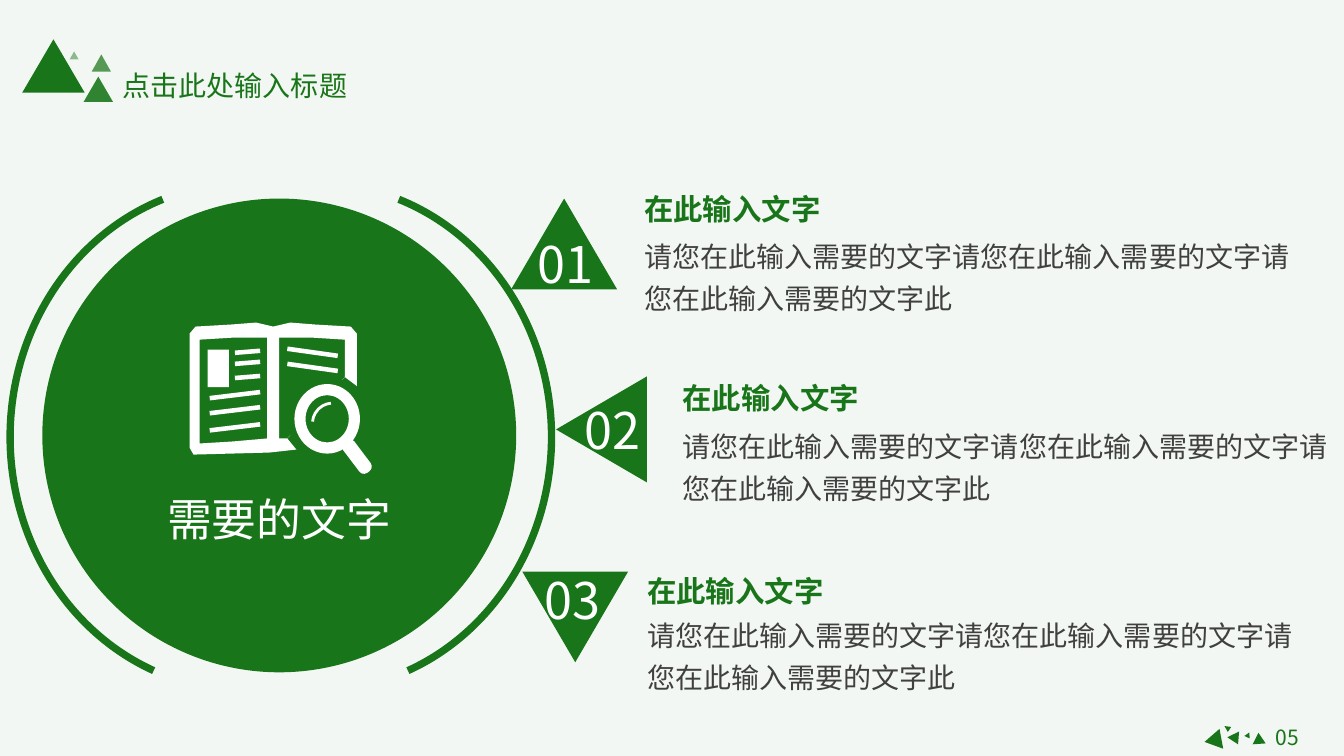
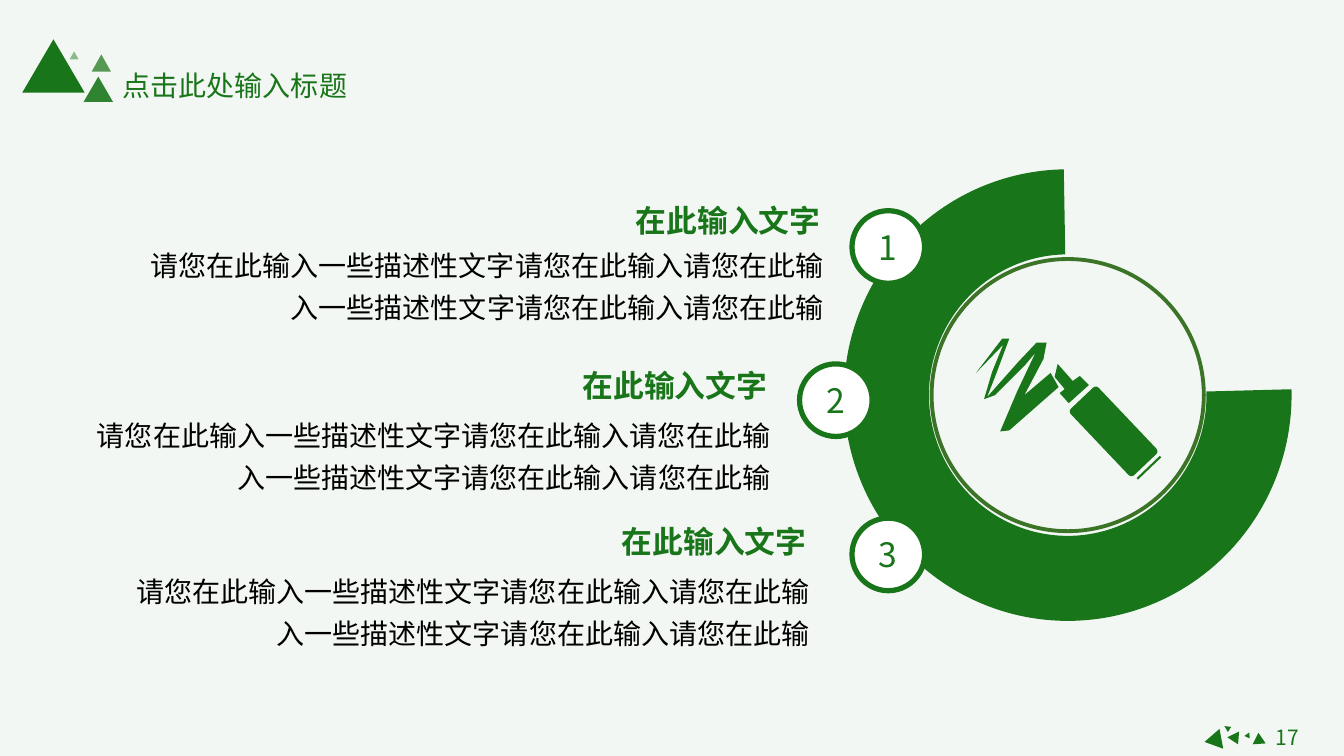
from dataclasses import dataclass

from lxml import etree
from pptx import Presentation
from pptx.dml.color import RGBColor
from pptx.enum.shapes import MSO_CONNECTOR, MSO_SHAPE
from pptx.enum.text import MSO_ANCHOR, MSO_AUTO_SIZE, PP_ALIGN
from pptx.oxml.ns import qn
from pptx.util import Inches, Pt

TRIANGLE = MSO_SHAPE.ISOSCELES_TRIANGLE
OVAL, ARC, BLOCK_ARC, DONUT = MSO_SHAPE.OVAL, MSO_SHAPE.ARC, MSO_SHAPE.BLOCK_ARC, MSO_SHAPE.DONUT
RECT, ROUNDED = MSO_SHAPE.RECTANGLE, MSO_SHAPE.ROUNDED_RECTANGLE
STRAIGHT = MSO_CONNECTOR.STRAIGHT
LEFT, CENTER, RIGHT = PP_ALIGN.LEFT, PP_ALIGN.CENTER, PP_ALIGN.RIGHT
TOP, MIDDLE = MSO_ANCHOR.TOP, MSO_ANCHOR.MIDDLE
NO_FIT, GROW = MSO_AUTO_SIZE.NONE, MSO_AUTO_SIZE.SHAPE_TO_FIT_TEXT


@dataclass(frozen=True)
class Theme:
    font: str = "Noto Sans CJK SC"
    green: str = "197519"
    olive: str = "3B7327"
    paper: str = "F3F7F3"
    white: str = "FFFFFF"
    gray: str = "404040"
    black: str = "000000"
    title: int = 20
    body: int = 20
    heading: int = 21
    heading_large: int = 22
    caption: int = 32
    number: int = 36
    badge: int = 24
    page: int = 15


THEME = Theme()
TITLE = "点击此处输入标题"
HEADING = "在此输入文字"
CAPTION = "需要的文字"
BOOK_BODY = "请您在此输入需要的文字" * 3 + "此"
PEN_BODY = "请您在此输入一些描述性文字请您在此输入" * 2 + "请您在此输"
PEN_BODY = "请您在此输入一些描述性文字请您在此输入请您在此输入一些描述性文字请您在此输入请您在此输"

HEADER_TRIANGLES = [
    (0.22, 0.39, 0.62, 0.53, 100),
    (0.83, 0.76, 0.29, 0.25, 89),
    (0.69, 0.51, 0.09, 0.08, 47),
    (0.91, 0.54, 0.19, 0.17, 72),
]
FOOTER_TRIANGLES = [
    (12.19, 7.28, 0.13, 0.11, 153.9),
    (11.93, 7.26, 0.2, 0.17, 259.5),
    (12.42, 7.27, 0.13, 0.11, 356.2),
    (12.14, 7.19, 0.06, 0.06, 303.5),
    (12.35, 7.28, 0.06, 0.05, 145.8),
]
BOOK_ROWS = [
    ("01", (5.07, 1.97), 0, (5.11, 2.26), (6.29, 1.85), 2.24),
    ("02", (5.44, 3.81), 270, (5.58, 3.91), (6.67, 3.72), 4.13),
    ("03", (5.18, 5.67), 180, (5.18, 5.6), (6.32, 5.64), 6),
]
PEN_ROWS = [
    ("1", (8.45, 2.09), (6.21, 1.95), 2.33),
    ("2", (7.93, 3.61), (5.68, 3.59), 4.02),
    ("3", (8.45, 5.14), (6.07, 5.14), 5.57),
]
BOOK_COVER = [(1.88, 3.31), (1.94, 3.24), (2.29, 3.22), (2.54, 3.2), (2.71, 3.24), (2.88, 3.2),
              (3.13, 3.22), (3.48, 3.24), (3.54, 3.31), (3.54, 3.83), (3.42, 3.74),
              (2.85, 4.35), (2.94, 4.46), (2.67, 4.49), (1.92, 4.51), (1.88, 4.44)]
LEFT_PAGE = [(1.98, 3.37), (2.31, 3.35), (2.65, 3.35), (2.65, 4.35), (2.31, 4.38), (1.98, 4.4)]
RIGHT_PAGE = [(2.77, 3.35), (3.1, 3.35), (3.42, 3.37), (3.42, 3.74), (2.85, 4.35), (2.77, 4.35)]
PAGE_LINES = [
    (2.08, 0.5, -0.06, (3.93, 4.08, 4.25)),
    (2.33, 0.25, -0.02, (3.48, 3.59, 3.73)),
    (2.85, 0.5, 0.07, (3.44, 3.59)),
]
SCRIBBLE = [(9.68, 3.7), (9.94, 3.36), (10.01, 3.36), (9.88, 3.71), (9.79, 3.94), (10.1, 3.59),
            (10.28, 3.4), (10.38, 3.4), (10.35, 3.56), (10.16, 3.92), (10.42, 3.7),
            (10.5, 3.84), (10.01, 4.27), (9.92, 4.28), (10.09, 3.88), (10.27, 3.5),
            (10.16, 3.63), (9.87, 3.92), (9.76, 3.96), (9.84, 3.69), (9.95, 3.42)]
NIB = [(10.49, 3.61), (10.46, 3.74), (10.56, 3.86), (10.51, 3.9), (10.6, 4),
       (10.8, 3.82), (10.71, 3.73), (10.64, 3.78)]


def rgb(color):
    return RGBColor.from_string(color)


def paint(sp, fill=None, line=None, weight=0, opacity=100):
    sp.shadow.inherit = False
    if fill:
        sp.fill.solid()
        sp.fill.fore_color.rgb = rgb(fill)
        if opacity < 100:
            color = sp._element.spPr.find(qn("a:solidFill"))[0]
            etree.SubElement(color, qn("a:alpha"), val=str(opacity * 1000))
    else:
        sp.fill.background()
    if line:
        sp.line.color.rgb = rgb(line)
        sp.line.width = Pt(weight)
    else:
        sp.line.fill.background()


def add_shape(slide, kind, left, top, width, height, rotation=0, adjust=(), **style):
    sp = slide.shapes.add_shape(kind, Inches(left), Inches(top), Inches(width), Inches(height))
    sp.rotation = rotation
    for i, value in enumerate(adjust):
        sp.adjustments[i] = value
    paint(sp, **style)
    return sp


def add_outline(slide, color, *outlines):
    builder = None
    for outline in outlines:
        start, *rest = [(Inches(x), Inches(y)) for x, y in outline]
        if builder:
            builder.move_to(*start)
        else:
            builder = slide.shapes.build_freeform(*start)
        builder.add_line_segments(rest, close=True)
    paint(builder.convert_to_shape(), fill=color)


def add_line(slide, x1, y1, x2, y2, color, weight):
    line = slide.shapes.add_connector(STRAIGHT, Inches(x1), Inches(y1), Inches(x2), Inches(y2))
    line.line.color.rgb = rgb(color)
    line.line.width = Pt(weight)
    etree.SubElement(line._element.spPr, qn("a:effectLst"))


def write(sp, text, size, color, align=LEFT, anchor=TOP, bold=False, spacing=None, indent=0):
    tf = sp.text_frame
    tf.text = text
    tf.vertical_anchor = anchor
    p = tf.paragraphs[0]
    p.alignment = align
    if spacing:
        p.line_spacing = spacing
    if indent:
        p._p.get_or_add_pPr().set("indent", str(Inches(indent)))
    r = p.runs[0]
    r.font.size = Pt(size)
    r.font.bold = bold
    r.font.color.rgb = rgb(color)
    r.font.name = THEME.font
    etree.SubElement(r._r.get_or_add_rPr(), qn("a:ea"), typeface=THEME.font)


def add_text(slide, left, top, width, height, text, size, color, **style):
    sp = slide.shapes.add_textbox(Inches(left), Inches(top), Inches(width), Inches(height))
    sp.text_frame.word_wrap = True
    sp.text_frame.auto_size = GROW
    write(sp, text, size, color, **style)


def add_base_slide(prs, page):
    slide = prs.slides.add_slide(prs.slide_layouts[5])
    title = slide.shapes.title
    title.left, title.top, title.width, title.height = map(Inches, (1.11, 0.63, 2.44, 0.44))
    write(title, TITLE, THEME.title, THEME.green, align=CENTER)
    title.text_frame.word_wrap = False
    title.text_frame.auto_size = NO_FIT
    for *box, opacity in HEADER_TRIANGLES:
        add_shape(slide, TRIANGLE, *box, fill=THEME.green, opacity=opacity)
    for *box, rotation in FOOTER_TRIANGLES:
        add_shape(slide, TRIANGLE, *box, rotation, fill=THEME.green)
    add_text(slide, 12.43, 7.14, 0.68, 0.35, page, THEME.page, THEME.green, align=CENTER)
    return slide


def add_book_icon(slide):
    add_outline(slide, THEME.white, BOOK_COVER, LEFT_PAGE, RIGHT_PAGE)
    add_shape(slide, RECT, 2.06, 3.47, 0.21, 0.37, fill=THEME.white)
    for left, width, drop, tops in PAGE_LINES:
        for top in tops:
            add_line(slide, left, top + 0.02, left + width, top + 0.02 + drop, THEME.white, 3.25)
    add_shape(slide, OVAL, 2.85, 3.74, 0.79, 0.83, fill=THEME.green)
    add_shape(slide, DONUT, 2.92, 3.81, 0.65, 0.69, adjust=[0.17], fill=THEME.white)
    add_shape(slide, ARC, 3.1, 4, 0.4, 0.4, adjust=[111, 159], line=THEME.white, weight=2)
    add_shape(slide, ROUNDED, 3.35, 4.46, 0.38, 0.14, 53, adjust=[0.4], fill=THEME.white)


def add_pen_icon(slide):
    add_outline(slide, THEME.green, SCRIBBLE, NIB)
    add_shape(slide, ROUNDED, 10.59, 4.09, 0.91, 0.38, 46.5, adjust=[0.1], fill=THEME.green)
    add_line(slide, 11.28, 4.75, 11.51, 4.53, THEME.green, 1.5)


def build_book_slide(prs):
    slide = add_base_slide(prs, "05")
    for left, angles in ((0.82, (173.38, 41.26)), (0.1, (66.74, 150.62))):
        add_shape(slide, ARC, left, 1.82, 4.65, 5.03, adjust=angles, line=THEME.green, weight=5.25)
    add_shape(slide, OVAL, 0.42, 1.97, 4.7, 4.7, fill=THEME.green)
    add_book_icon(slide)
    add_text(slide, 1.09, 4.83, 3.36, 0.64, CAPTION, THEME.caption, THEME.white, align=CENTER)
    for number, corner, rotation, label, (left, top), body_top in BOOK_ROWS:
        add_shape(slide, TRIANGLE, *corner, 1.05, 0.9, rotation, fill=THEME.green)
        add_text(slide, *label, 1, 0.71, number, THEME.number, THEME.white, align=CENTER)
        add_text(slide, left, top, 2, 0.45, HEADING, THEME.heading, THEME.green, bold=True)
        add_text(slide, left, body_top, 6.67, 0.9, BOOK_BODY, THEME.body, THEME.gray, spacing=1.25)


def build_pen_slide(prs):
    slide = add_base_slide(prs, "17")
    add_shape(slide, BLOCK_ARC, 8.37, 1.68, 4.44, 4.48, adjust=[215.1, 161.4, 0.19],
              fill=THEME.green)
    add_shape(slide, OVAL, 9.24, 2.57, 2.7, 2.7, line=THEME.olive, weight=2.75)
    add_pen_icon(slide)
    for number, corner, (left, top), body_top in PEN_ROWS:
        badge = add_shape(slide, OVAL, *corner, 0.72, 0.72,
                          fill=THEME.white, line=THEME.green, weight=3.75)
        write(badge, number, THEME.badge, THEME.green, align=CENTER, anchor=MIDDLE)
        add_text(slide, left, top, 2.27, 0.47, HEADING, THEME.heading_large, THEME.green, bold=True)
        add_text(slide, left - 5.4, body_top, 7.46, 0.9, PEN_BODY, THEME.body, THEME.black,
                 align=RIGHT, spacing=1.25, indent=0.49)


def main():
    prs = Presentation()
    prs.slide_width, prs.slide_height = Inches(13.33), Inches(7.5)
    background = prs.slide_master.background.fill
    background.solid()
    background.fore_color.rgb = rgb(THEME.paper)
    build_book_slide(prs)
    build_pen_slide(prs)
    prs.save("out.pptx")


main()
